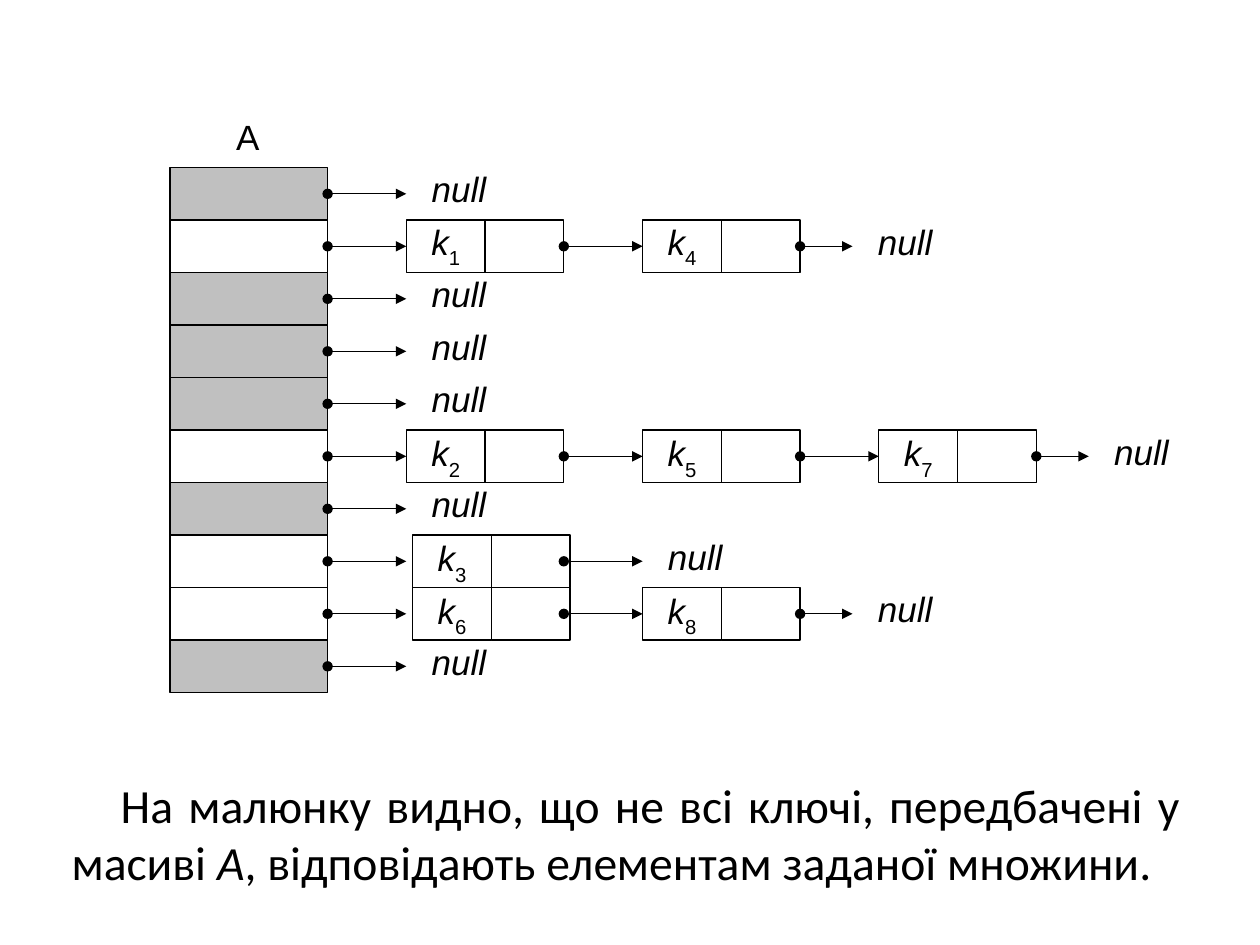
from pptx import Presentation
from pptx.dml.color import RGBColor
from pptx.enum.shapes import MSO_CONNECTOR, MSO_SHAPE
from pptx.enum.text import MSO_ANCHOR, PP_ALIGN
from pptx.oxml.ns import qn
from pptx.util import Inches, Pt
from lxml import etree


def color(value):
    return RGBColor.from_string(value)


class Diagram:
    ink, gray, font, size, line = "000000", "C0C0C0", "Arial", 20, 0.75

    def __init__(self, slide):
        self.shapes = slide.shapes

    def add_text(self, sp, runs, font=None, size=None, align=PP_ALIGN.CENTER,
                 anchor=MSO_ANCHOR.TOP, margins=(0, 0)):
        """Runs are (text, italic, subscript) tuples in one paragraph."""
        tf = sp.text_frame
        tf.word_wrap = True
        tf.vertical_anchor = anchor
        tf.margin_left = tf.margin_right = Inches(margins[0])
        tf.margin_top = tf.margin_bottom = Inches(margins[1])
        p = tf.paragraphs[0]
        p.alignment = align
        p.font.name = font or self.font
        p.font.size = Pt(size or self.size)
        p.font.color.rgb = color(self.ink)
        for text, italic, subscript in runs:
            r = p.add_run()
            r.text = text
            r.font.italic = italic
            if subscript:
                r.font._element.set("baseline", "-30000")
        return p

    def label(self, x, y, w, h, runs, **style):
        sp = self.shapes.add_textbox(Inches(x), Inches(y), Inches(w), Inches(h))
        return self.add_text(sp, runs, **style)

    def box(self, x, y, w, h, fill=None):
        sp = self.shapes.add_shape(MSO_SHAPE.FLOWCHART_PROCESS,
                                   Inches(x), Inches(y), Inches(w), Inches(h))
        sp.shadow.inherit = False
        if fill:
            sp.fill.solid()
            sp.fill.fore_color.rgb = color(fill)
        else:
            sp.fill.background()
        sp.line.color.rgb = color(self.ink)
        sp.line.width = Pt(self.line)
        return sp

    def arrow(self, x1, x2, y):
        cx = self.shapes.add_connector(MSO_CONNECTOR.STRAIGHT, Inches(x1),
                                       Inches(y), Inches(x2), Inches(y))
        cx.line.color.rgb = color(self.ink)
        cx.line.width = Pt(self.line)
        ln = cx.line._get_or_add_ln()
        for end, kind in (("a:headEnd", "oval"), ("a:tailEnd", "triangle")):
            etree.SubElement(ln, qn(end), type=kind)
        etree.SubElement(cx._element.spPr, qn("a:effectLst"))


prs = Presentation()
prs.slide_width, prs.slide_height = Inches(10), Inches(7.5)
d = Diagram(prs.slides.add_slide(prs.slide_layouts[6]))

# Grid of the hash table
LEFT, TOP, SLOT_W, ROW_H = 1.35, 1.33, 1.25, 5 / 12
CELL_W = SLOT_W / 2
STEP = CELL_W
SHORT_STEP = ROW_H
NULL_W = 2 * ROW_H
SHIFT = 0.05

# Keys chained in each slot
chains = [[], [1, 4], [], [], [], [2, 5, 7], [], [3], [6, 8], []]
shifted_rows = (7, 8)

# Array, chains and their null ends
d.label(1.55, TOP - ROW_H, NULL_W, ROW_H, [("А", False, False)])
for row, keys in enumerate(chains):
    y = TOP + row * ROW_H
    middle = y + ROW_H / 2
    d.box(LEFT, y, SLOT_W, ROW_H, None if keys else d.gray)
    x = LEFT + SLOT_W
    d.arrow(x, x + STEP, middle)
    x += STEP
    for i, key in enumerate(keys):
        node_x = x + SHIFT if i == 0 and row in shifted_rows else x
        key_box = d.box(node_x, y, CELL_W, ROW_H)
        style = {} if row == 1 else {"anchor": MSO_ANCHOR.MIDDLE, "margins": (0.1, 0)}
        d.add_text(key_box, [("k", True, False), (str(key), False, True)], **style)
        d.box(node_x + CELL_W, y, CELL_W, ROW_H)
        x += 2 * CELL_W
        is_long = i < len(keys) - 1 or len(keys) == 1
        step = STEP if is_long else SHORT_STEP
        d.arrow(x, x + step, middle)
        x += step
    d.label(x, y, NULL_W, ROW_H, [("null", True, False)])

# Explanation below the diagram
p = d.label(0.47, 6.11, 9, 0.94,
            [("На малюнку видно, що не всі ключі, передбачені у масиві ", False, False),
             ("А", True, False),
             (", відповідають елементам заданої множини.", False, False)],
            font="Calibri", size=27.2, align=PP_ALIGN.JUSTIFY, margins=(0.1, 0.05))
p.space_before = Pt(5.4)
p._p.get_or_add_pPr().set("indent", str(Inches(0.39)))

prs.save("out.pptx")
